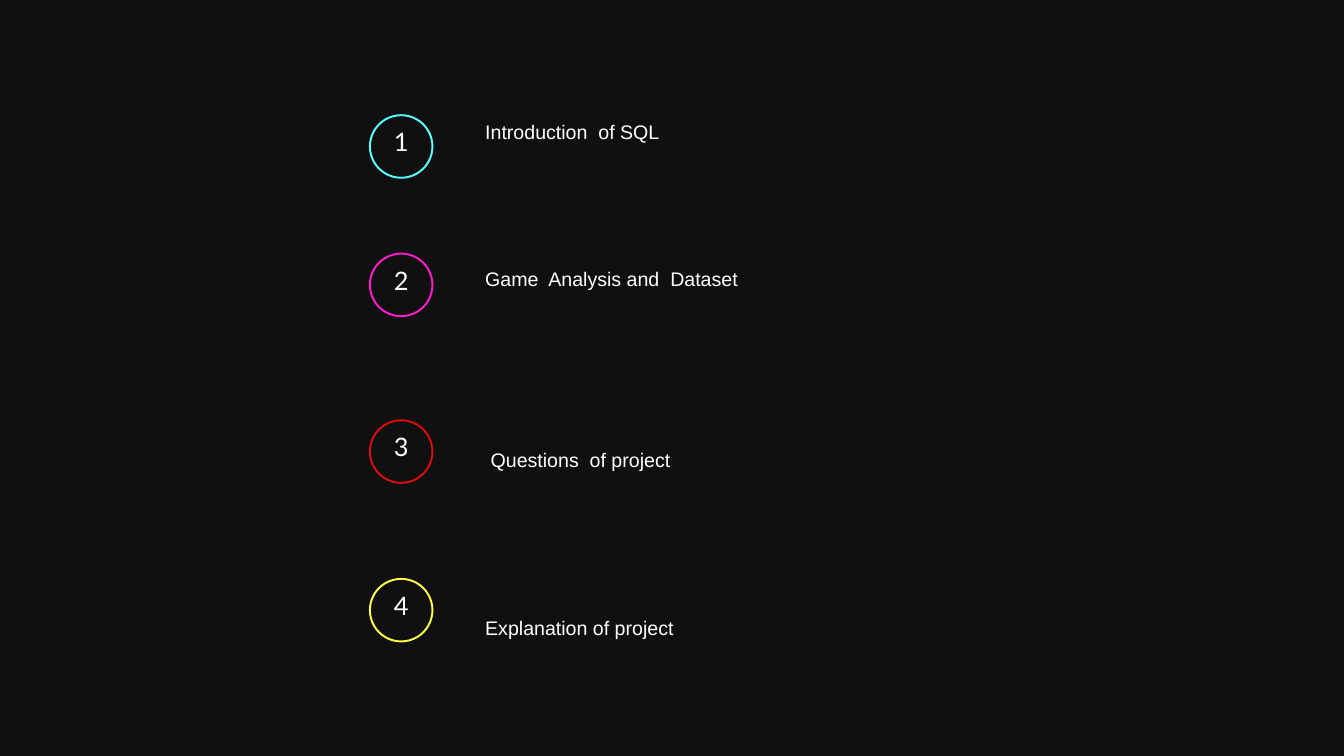
import dataclasses

import pptx
import pptx.dml.color
import pptx.enum.shapes
import pptx.enum.text
import pptx.util

Inches = pptx.util.Inches
Pt = pptx.util.Pt
Align = pptx.enum.text.PP_ALIGN

WHITE = "FFFFFF"
RING = 0.96
RING_LEFT = 5.49
NUM_WIDE, NUM_HIGH = 0.36, 0.44
BAND = 0.03


@dataclasses.dataclass
class Item:
    text: str
    hue: str
    ring_top: float
    text_top: float


@dataclasses.dataclass
class Style:
    font: str
    size: float
    lead: float
    align: Align


NUMBER = Style("Lato", 27.2, 26.1, Align.CENTER)
TOPIC = Style("Arial", 21, 29.4, Align.LEFT)

ITEMS = [
    Item("Introduction  of SQL", "57FFFF", 1.7, 1.72),
    Item("Game  Analysis and  Dataset", "FF19CF", 3.76, 3.92),
    Item(" Questions  of project", "DF0C0C", 6.24, 6.6),
    Item("Explanation of project", "FFFD47", 8.6, 9.1),
]


def paint(fmt, hue: str) -> None:
    """Give a fill one solid colour."""
    fmt.solid()
    fmt.fore_color.rgb = pptx.dml.color.RGBColor.from_string(hue)


def add_text(shapes, text: str, left: float, top: float,
             wide: float, high: float, style: Style) -> None:
    box = shapes.add_textbox(Inches(left), Inches(top),
                             Inches(wide), Inches(high))
    frame = box.text_frame
    frame.word_wrap = True
    frame.auto_size = pptx.enum.text.MSO_AUTO_SIZE.SHAPE_TO_FIT_TEXT
    frame.margin_left = frame.margin_right = 0
    frame.margin_top = frame.margin_bottom = 0
    para = frame.paragraphs[0]
    para.alignment = style.align
    para.line_spacing = Pt(style.lead)
    run = para.add_run()
    run.text = text
    run.font.name = style.font
    run.font.size = Pt(style.size)
    paint(run.font.fill, WHITE)


def add_badge(shapes, num: int, item: Item) -> None:
    """Group a thin ring with the number centred in it."""
    group = shapes.add_group_shape().shapes
    ring = group.add_shape(pptx.enum.shapes.MSO_SHAPE.DONUT,
                           Inches(RING_LEFT), Inches(item.ring_top),
                           Inches(RING), Inches(RING))
    ring.adjustments[0] = BAND
    ring.shadow.inherit = False
    ring.line.fill.background()
    paint(ring.fill, item.hue)
    add_text(group, str(num),
             RING_LEFT + (RING - NUM_WIDE) / 2,
             item.ring_top + (RING - NUM_HIGH) / 2 + 0.01,
             NUM_WIDE, NUM_HIGH, NUMBER)


def main() -> None:
    deck = pptx.Presentation()
    deck.slide_width = Inches(20)
    deck.slide_height = Inches(11.25)
    slide = deck.slides.add_slide(deck.slide_layouts[6])
    paint(slide.background.fill, "101010")
    for num, item in enumerate(ITEMS, 1):
        add_badge(slide.shapes, num, item)
        add_text(slide.shapes, item.text, 7.22, item.text_top,
                 4.58, 0.46, TOPIC)
    deck.save("out.pptx")


if __name__ == "__main__":
    main()
